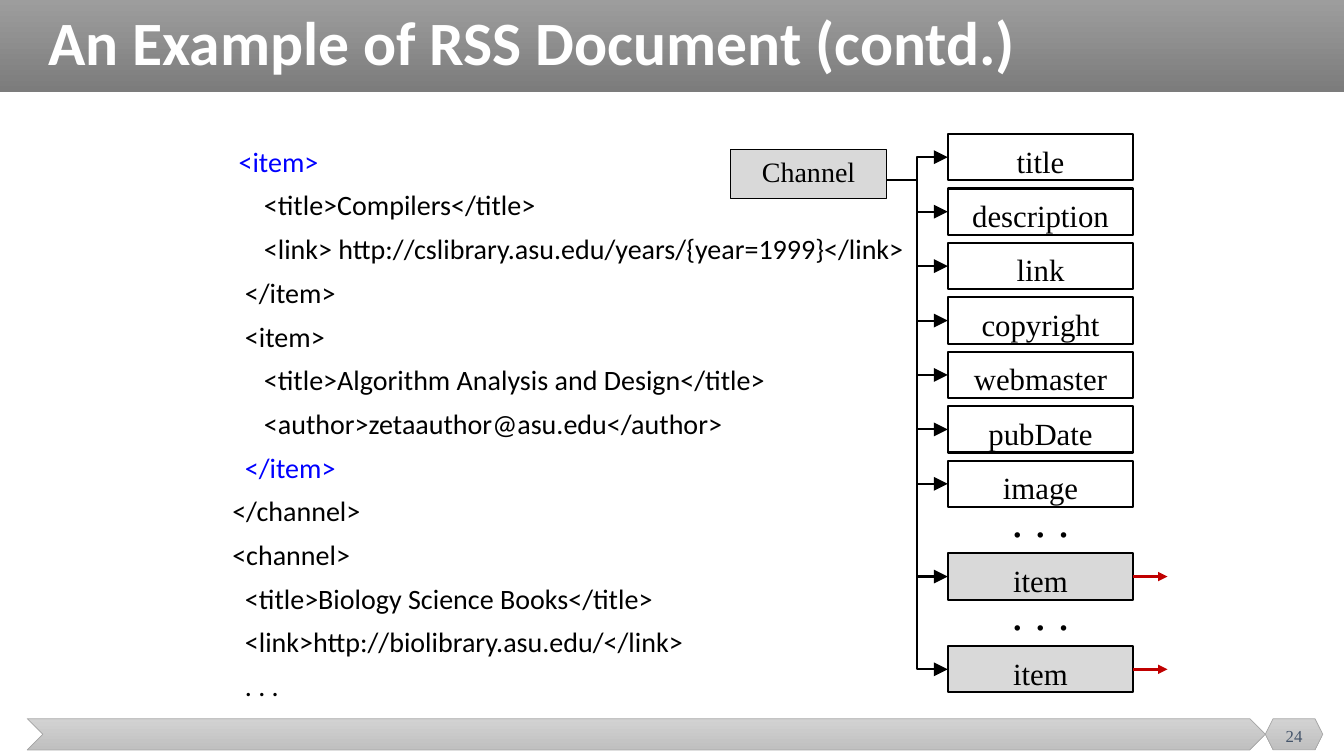
"""Build the slide on an RSS document and the parts of its channel."""
from dataclasses import dataclass

from lxml.etree import SubElement as Sub
from pptx import Presentation
from pptx.dml.color import RGBColor as Rgb
from pptx.enum.shapes import MSO_CONNECTOR as Link, MSO_SHAPE as Kind
from pptx.enum.text import MSO_ANCHOR as Anchor, PP_ALIGN as Align
from pptx.oxml.ns import qn
from pptx.util import Inches, Pt

TITLE = "An Example of RSS Document (contd.)"
PAGE = "24"
ROOT = "Channel"
CODE = [
    ("   <item>", "blue"),
    ("       <title>Compilers</title>", "black"),
    ("       <link> http://cslibrary.asu.edu/years/{year=1999}</link>", "black"),
    ("    </item>", "black"),
    ("    <item>", "black"),
    ("       <title>Algorithm Analysis and Design</title>", "black"),
    ("       <author>zetaauthor@asu.edu</author>", "black"),
    ("    </item>", "blue"),
    ("  </channel>", "black"),
    ("  <channel>", "black"),
    ("    <title>Biology Science Books</title>", "black"),
    ("    <link>http://biolibrary.asu.edu/</link>", "black"),
    ("    . . .", "black"),
]
DOTS = ". . ."
PARTS = ["title", "description", "link", "copyright", "webmaster", "pubDate",
         "image", DOTS, "item", DOTS, "item"]
ARROWS = [5.71, 6.67]


@dataclass(frozen=True)
class Theme:
    """Colours, fonts and type sizes."""
    white: str = "FFFFFF"
    black: str = "000000"
    blue: str = "0000FF"
    red: str = "C00000"
    gray: str = "D9D9D9"
    edge: str = "A5A5A5"
    slate: str = "44546A"
    bar: tuple = ("9D9D9D", "7C7C7C")
    foot: tuple = ("D2D2D2", "C0C0C0")
    sans: str = "Calibri"
    serif: str = "Times New Roman"
    head: int = 44
    code: int = 20
    label: int = 22
    dots: int = 33
    page: int = 12


T = Theme()


def write(para, text, size, color, font=T.serif, bold=False):
    """Add one run to a paragraph."""
    run = para.add_run()
    run.text = text
    run.font.size = Pt(size)
    run.font.name = font
    run.font.bold = bold
    run.font.color.rgb = Rgb.from_string(color)


def shape(slide, kind, area, fill, line=None, width=0.5):
    """Add a preset shape with a plain or graded fill."""
    item = slide.shapes.add_shape(kind, *map(Inches, area))
    item.shadow.inherit = False
    if isinstance(fill, tuple):
        item.fill.gradient()
        item.fill.gradient_angle = 270
        for stop, color in zip(item.fill.gradient_stops, fill):
            stop.color.rgb = Rgb.from_string(color)
    else:
        item.fill.solid()
        item.fill.fore_color.rgb = Rgb.from_string(fill)
    if line:
        item.line.color.rgb = Rgb.from_string(line)
        item.line.width = Pt(width)
    else:
        item.line.fill.background()
    return item


def frame(slide, area, anchor=Anchor.MIDDLE, wrap=True):
    """Add a text box and return its text frame."""
    text = slide.shapes.add_textbox(*map(Inches, area)).text_frame
    text.word_wrap = wrap
    text.vertical_anchor = anchor
    return text


def arrow(slide, kind, ends, color, width, size):
    """Add a connector with a filled arrowhead."""
    line = slide.shapes.add_connector(kind, *map(Inches, ends))
    line.line.color.rgb = Rgb.from_string(color)
    line.line.width = Pt(width)
    Sub(line.line._get_or_add_ln(), qn("a:tailEnd"),
        type="triangle", w=size, len=size)
    Sub(line._element.spPr, qn("a:effectLst"))
    return line


def center(text, label, size):
    """Write one centred black label."""
    para = text.paragraphs[0]
    para.alignment = Align.CENTER
    write(para, label, size, T.black)


def base(slide):
    """Draw the title bar, the footer and the code listing."""
    shape(slide, Kind.RECTANGLE, (0, 0, 13.33, 0.91), T.bar)
    shape(slide, Kind.CHEVRON, (0.27, 7.13, 12.28, 0.31), T.foot, T.edge)
    shape(slide, Kind.HEXAGON, (12.55, 7.13, 0.57, 0.31), T.foot, T.edge)

    head = frame(slide, (0.38, 0, 12.74, 0.91)).paragraphs[0]
    head.line_spacing = 0.9
    write(head, TITLE, T.head, T.white, T.sans, True)

    page = frame(slide, (12.55, 7.1, 0.57, 0.4)).paragraphs[0]
    page.alignment = Align.CENTER
    write(page, PAGE, T.page, T.slate)

    body = frame(slide, (2.08, 1.42, 9.38, 5.67), Anchor.TOP)
    for row, (text, color) in enumerate(CODE):
        para = body.add_paragraph() if row else body.paragraphs[0]
        para.line_spacing = 0.9
        para.space_before = Pt(9.6 if row else 0)
        write(para, text, T.code, getattr(T, color), T.sans)


def tree(slide):
    """Draw the channel box, its parts and the arrows between them."""
    left, wide, high = 9.4, 1.84, 0.46
    step, gap = 0.54, 0.38
    top = 1.33
    items = []
    for label in PARTS:
        if label == DOTS:
            text = frame(slide, (left, top - 0.24, wide, 0.56), wrap=False)
            center(text, label, T.dots)
            top += gap
            continue
        fill = T.gray if label == "item" else T.white
        box = shape(slide, Kind.RECTANGLE, (left, top, wide, high),
                    fill, T.black, 1.5)
        box.text_frame.margin_top = Inches(0.07)
        box.text_frame.margin_bottom = 0
        box.text_frame.vertical_anchor = Anchor.MIDDLE
        center(box.text_frame, label, T.label)
        mid = top + high / 2
        arrow(slide, Link.ELBOW, (8.79, 1.79, left, mid), T.black, 1.5, "lg")
        if label == "item":
            items.append((box, mid))
        top += step

    root = shape(slide, Kind.RECTANGLE, (7.25, 1.48, 1.54, 0.49),
                 T.gray, T.black, 0.75)
    root.text_frame.vertical_anchor = Anchor.TOP
    center(root.text_frame, ROOT, T.code)

    for (box, mid), level in zip(items, ARROWS):
        line = arrow(slide, Link.STRAIGHT, (11.25, level, 11.58, level),
                     T.red, 2.25, "med")
        if abs(mid - level) < 0.03:
            line.begin_connect(box, 3)
            line.end_y = line.begin_y


def main():
    """Build and save the slide."""
    deck = Presentation()
    deck.slide_width = Inches(13.33)
    deck.slide_height = Inches(7.5)
    slide = deck.slides.add_slide(deck.slide_layouts[6])
    base(slide)
    tree(slide)
    deck.save("out.pptx")


if __name__ == "__main__":
    main()
